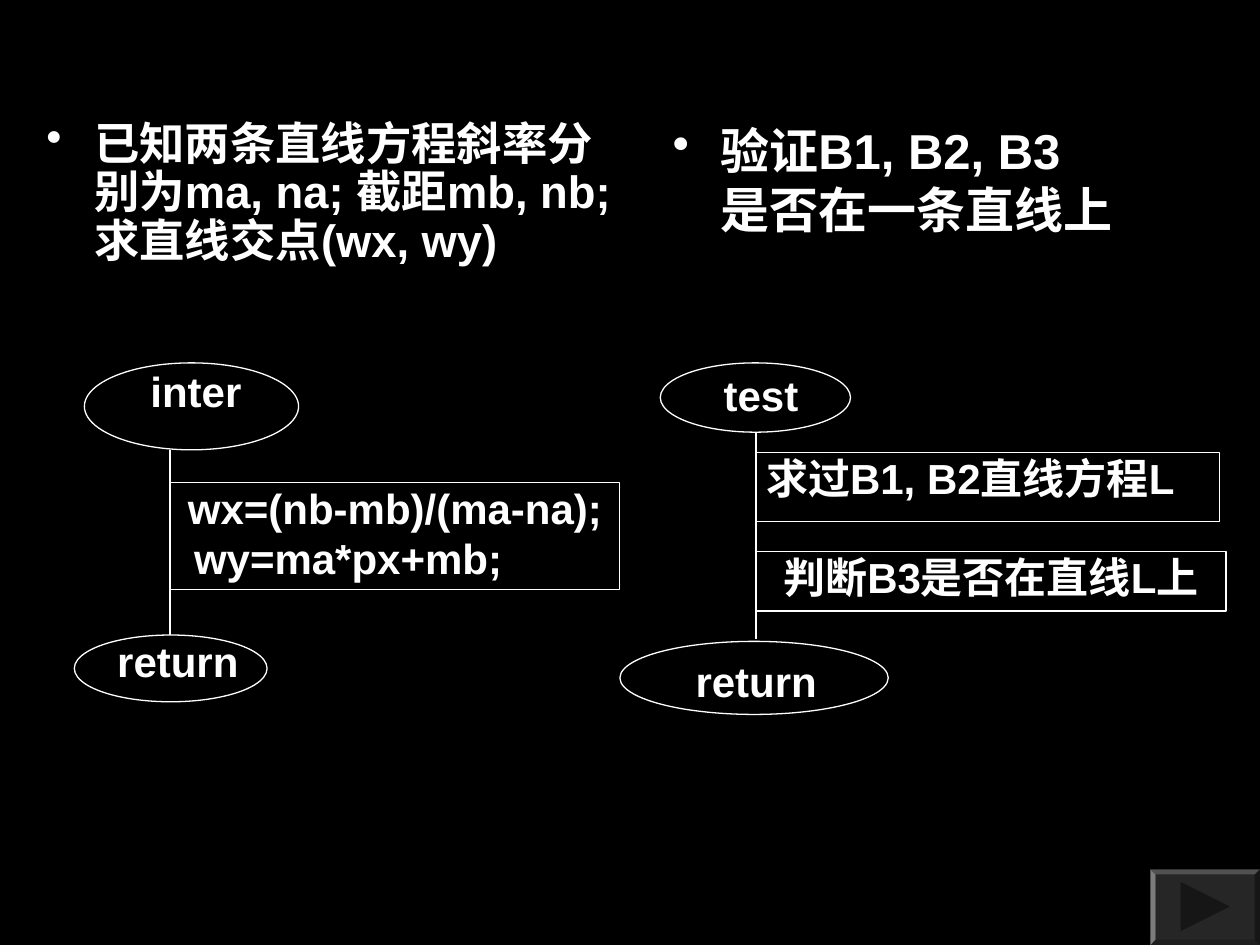
from lxml.etree import SubElement
from pptx import Presentation
from pptx.dml.color import RGBColor
from pptx.enum.shapes import MSO_CONNECTOR, MSO_SHAPE
from pptx.enum.text import MSO_ANCHOR, PP_ALIGN
from pptx.oxml.ns import qn
from pptx.util import Inches, Pt

WHITE, BLACK, BUTTON, ARROW = "FFFFFF", "000000", "262626", "161616"
LEFT, CENTER = PP_ALIGN.LEFT, PP_ALIGN.CENTER

# (place, text, size, line spacing)
TASKS = [
    ((0.27, 0.91, 4.76, 1.58),
     "已知两条直线方程斜率分别为ma, na; 截距mb, nb;求直线交点(wx, wy)", 25.9, 0.9),
    ((5.24, 0.91, 3.92, 1.13), "验证B1, B2, B3\v是否在一条直线上", 28, 1),
]
# (ellipse place, label place, label, alignment, line spacing)
TERMINALS = [
    ((0.67, 2.88, 1.7, 0.69), (0.93, 2.95, 1.25, 0.45), "inter", CENTER, 0.88),
    ((0.59, 5.04, 1.53, 0.53), (0.93, 5.04, 1.02, 0.53), "return", LEFT, 1),
    ((5.24, 2.88, 1.51, 0.55), (5.41, 2.96, 1.26, 0.24), "test", CENTER, 0.96),
    ((4.92, 5.09, 2.13, 0.58), (5.52, 5.2, 1.01, 0.4), "return", LEFT, 1),
]
# (place, [(line, alignment, indent)])
STEPS = [
    ((1.35, 3.83, 3.57, 0.85),
     [("wx=(nb-mb)/(ma-na);", CENTER, 0), ("wy=ma*px+mb;", LEFT, 0.19)]),
    ((6, 3.59, 3.68, 0.55), [("求过B1, B2直线方程L", LEFT, 0.08)]),
    ((6, 4.38, 3.73, 0.47), [("判断B3是否在直线L上", CENTER, 0)]),
]
SPINES = [(1.35, 3.57, 5.04), (6, 3.44, 5.07)]  # x, top, bottom


def color(hex_string):
    return RGBColor.from_string(hex_string)


def inches(place):
    return [Inches(length) for length in place]


def style(paragraph, size=24, align=LEFT, spacing=1):
    paragraph.alignment = align
    paragraph.line_spacing = spacing
    font = paragraph.font
    font.name, font.size, font.bold = "Arial", Pt(size), True
    font.color.rgb = color(WHITE)


def prepare(frame, inset=True):
    """Wrap from the top, with or without the default insets."""
    frame.word_wrap = True
    frame.vertical_anchor = MSO_ANCHOR.TOP
    if not inset:
        frame.margin_left = frame.margin_right = 0
        frame.margin_top = frame.margin_bottom = 0


def add_outline(shapes, kind, place):
    outline = shapes.add_shape(kind, *inches(place))
    outline.shadow.inherit = False
    outline.fill.background()
    outline.line.color.rgb = color(WHITE)
    outline.line.width = Pt(0.75)
    return outline


def add_task(shapes, place, text, size, spacing):
    frame = shapes.add_textbox(*inches(place)).text_frame
    prepare(frame)
    frame.text = text
    paragraph = frame.paragraphs[0]
    properties = paragraph._p.get_or_add_pPr()
    properties.set("marL", str(Inches(0.38)))
    properties.set("indent", str(-Inches(0.38)))
    SubElement(properties, qn("a:buChar")).set("char", "•")
    style(paragraph, size, spacing=spacing)


def add_terminal(shapes, ellipse, label_place, label, align, spacing):
    add_outline(shapes, MSO_SHAPE.OVAL, ellipse)
    frame = shapes.add_textbox(*inches(label_place)).text_frame
    prepare(frame, inset=False)
    frame.text = label
    style(frame.paragraphs[0], align=align, spacing=spacing)


def add_step(shapes, place, lines):
    frame = add_outline(shapes, MSO_SHAPE.RECTANGLE, place).text_frame
    prepare(frame, inset=False)
    frame.text = "\n".join(line for line, _, _ in lines)
    for paragraph, (_, align, indent) in zip(frame.paragraphs, lines):
        paragraph._p.get_or_add_pPr().set("marL", str(Inches(indent)))
        style(paragraph, align=align)


def add_spine(shapes, x, top, bottom):
    spine = shapes.add_connector(MSO_CONNECTOR.STRAIGHT, *inches((x, top, x, bottom)))
    spine.line.color.rgb = color(WHITE)
    spine.line.width = Pt(0.75)
    SubElement(spine._element.spPr, qn("a:effectLst"))


def add_next_button(shapes):
    button = shapes.add_shape(MSO_SHAPE.BEVEL, *inches((9.13, 6.9, 0.87, 0.6)))
    button.adjustments[0] = 0.07
    arrow = shapes.add_shape(MSO_SHAPE.ISOSCELES_TRIANGLE, *inches((9.37, 7, 0.39, 0.39)))
    arrow.rotation = 90
    for part, fill in ((button, BUTTON), (arrow, ARROW)):
        part.shadow.inherit = False
        part.fill.solid()
        part.fill.fore_color.rgb = color(fill)
        part.line.fill.background()


def main():
    deck = Presentation()
    deck.slide_width, deck.slide_height = Inches(10), Inches(7.5)
    slide = deck.slides.add_slide(deck.slide_layouts[6])
    slide.background.fill.solid()
    slide.background.fill.fore_color.rgb = color(BLACK)
    for add, items in ((add_task, TASKS), (add_terminal, TERMINALS),
                       (add_spine, SPINES), (add_step, STEPS)):
        for item in items:
            add(slide.shapes, *item)
    add_next_button(slide.shapes)
    deck.save("out.pptx")


if __name__ == "__main__":
    main()
